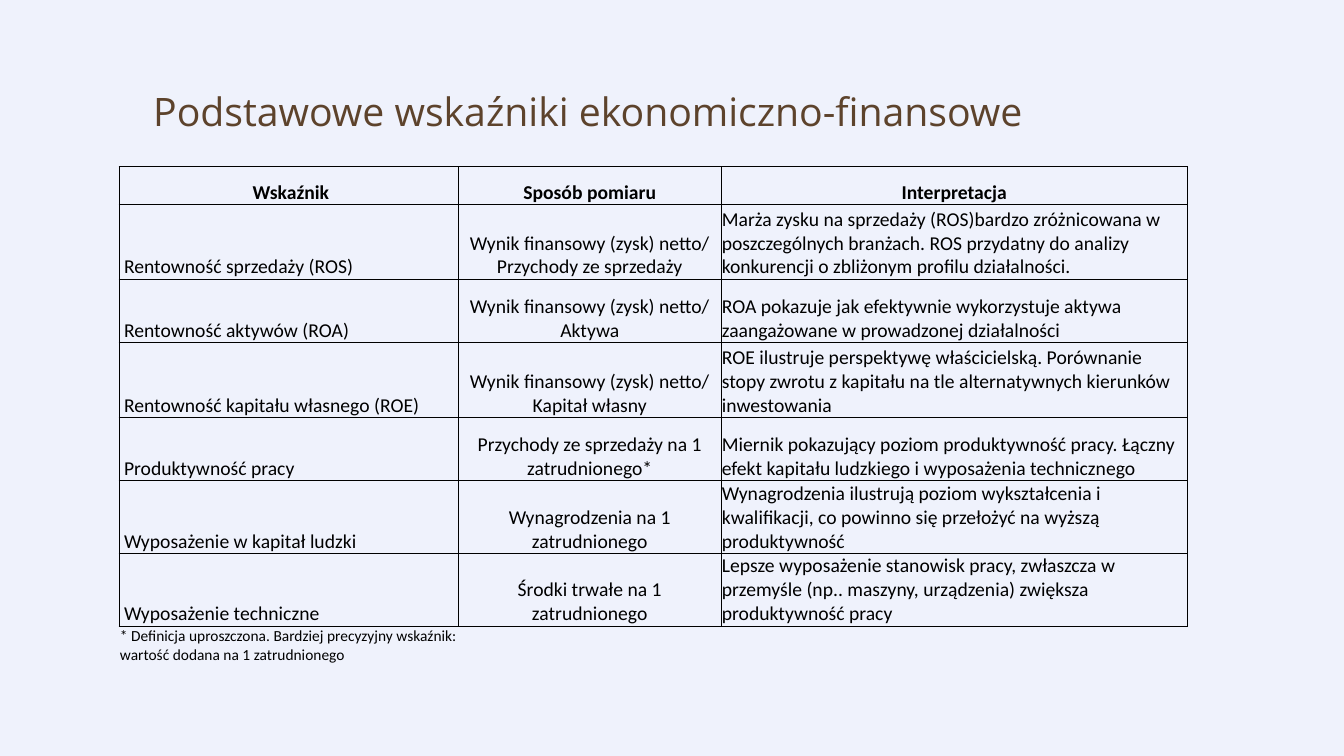
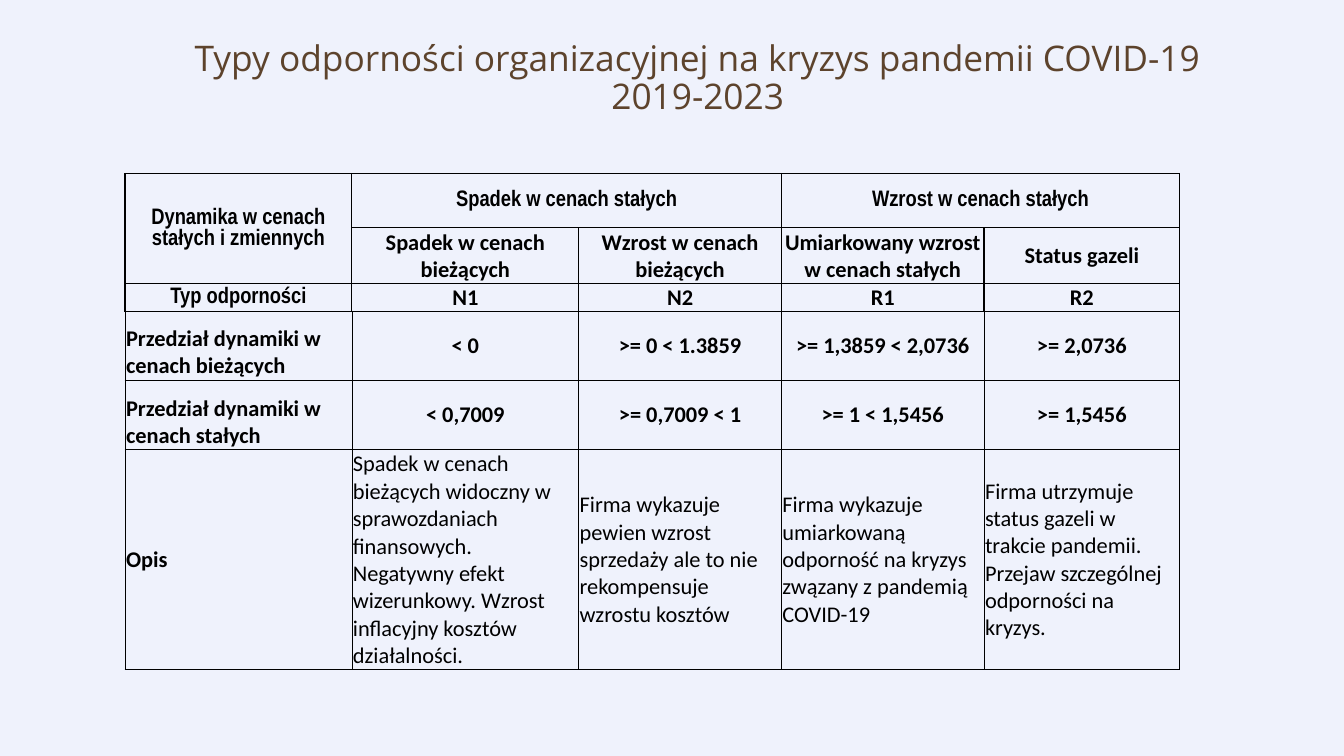
from lxml import etree
from pptx import Presentation
from pptx.dml.color import RGBColor
from pptx.enum.text import MSO_ANCHOR, PP_ALIGN
from pptx.oxml.ns import qn
from pptx.util import Inches, Pt

LEFT, CENTER = PP_ALIGN.LEFT, PP_ALIGN.CENTER
MIDDLE, BOTTOM = MSO_ANCHOR.MIDDLE, MSO_ANCHOR.BOTTOM

COLORS = {"background": "EFF2FC", "title": "5D432C", "text": "000000", "border": "000000"}
TITLE_FONT, BODY_FONT, HEADER_FONT = "Open Sans", "Calibri", "Arial Narrow"
THIN, MEDIUM = 0.5, 1
CELL_INSET, FIRST_COLUMN_INSET = 0.01, 0.05
SIDES = ("L", "R", "T", "B")

INDICATORS = [
    ("Wskaźnik", "Sposób pomiaru", "Interpretacja"),
    ("Rentowność sprzedaży (ROS)",
     "Wynik finansowy (zysk) netto/ Przychody ze sprzedaży",
     "Marża zysku na sprzedaży (ROS)bardzo zróżnicowana w poszczególnych branżach. "
     "ROS przydatny do analizy konkurencji o zbliżonym profilu działalności."),
    ("Rentowność aktywów (ROA)",
     "Wynik finansowy (zysk) netto/ Aktywa",
     "ROA pokazuje jak efektywnie wykorzystuje aktywa zaangażowane w prowadzonej działalności"),
    ("Rentowność kapitału własnego (ROE)",
     "Wynik finansowy (zysk) netto/ Kapitał własny",
     "ROE ilustruje perspektywę właścicielską. Porównanie  stopy zwrotu z kapitału "
     "na tle alternatywnych kierunków inwestowania"),
    ("Produktywność pracy",
     "Przychody ze sprzedaży na 1 zatrudnionego*",
     "Miernik pokazujący poziom produktywność pracy. Łączny efekt kapitału ludzkiego "
     "i wyposażenia technicznego"),
    ("Wyposażenie w kapitał ludzki",
     "Wynagrodzenia na 1 zatrudnionego",
     "Wynagrodzenia ilustrują poziom wykształcenia i kwalifikacji, co powinno się "
     "przełożyć na wyższą produktywność"),
    ("Wyposażenie techniczne",
     "Środki trwałe na 1 zatrudnionego",
     "Lepsze wyposażenie stanowisk pracy, zwłaszcza w przemyśle (np.. maszyny, "
     "urządzenia) zwiększa produktywność pracy"),
    ("* Definicja uproszczona. Bardziej precyzyjny wskaźnik: wartość dodana na 1 zatrudnionego",
     "", ""),
]

RESILIENCE = [
    ("Dynamika w cenach stałych i zmiennych", "Spadek w cenach stałych", "",
     "Wzrost w cenach stałych", ""),
    ("", "Spadek w cenach bieżących", "Wzrost w cenach bieżących",
     "Umiarkowany wzrost w cenach stałych", "Status gazeli"),
    ("Typ odporności", "N1", "N2", "R1", "R2"),
    ("Przedział dynamiki w cenach bieżących", "< 0", ">= 0 < 1.3859",
     ">= 1,3859 < 2,0736", ">= 2,0736"),
    ("Przedział dynamiki w cenach stałych", "< 0,7009", ">= 0,7009 < 1",
     ">= 1 < 1,5456", ">= 1,5456"),
    ("Opis",
     "Spadek w cenach bieżących widoczny w sprawozdaniach finansowych. "
     "Negatywny efekt wizerunkowy. Wzrost inflacyjny kosztów działalności.",
     "Firma wykazuje pewien wzrost sprzedaży ale to nie rekompensuje wzrostu kosztów",
     "Firma wykazuje umiarkowaną odporność na kryzys zwązany z pandemią COVID-19",
     "Firma utrzymuje status gazeli w trakcie pandemii. Przejaw szczególnej "
     "odporności na kryzys."),
]


def color(name):
    return RGBColor.from_string(COLORS[name])


def set_font(para, name, size, color_name, bold=False):
    font = para.font
    font.name, font.size, font.bold = name, Pt(size), bold
    font.color.rgb = color(color_name)


def add_page(deck):
    page = deck.slides.add_slide(deck.slide_layouts[6])
    page.background.fill.solid()
    page.background.fill.fore_color.rgb = color("background")
    return page


def add_title(page, box, text, size, align=LEFT):
    frame = page.shapes.add_textbox(*map(Inches, box)).text_frame
    frame.word_wrap = True
    frame.vertical_anchor = MIDDLE
    frame.margin_left = Inches(0.6)
    para = frame.paragraphs[0]
    para.text = text
    para.alignment = align
    para.line_spacing = 0.9
    set_font(para, TITLE_FONT, size, "title")


def set_borders(cell, widths):
    """Draw the four sides of a cell; a width of 0 hides that side."""
    properties = cell._tc.get_or_add_tcPr()
    for side, width in zip(SIDES, widths):
        line = etree.SubElement(properties, qn(f"a:ln{side}"), w=str(Pt(width)))
        if width:
            fill = etree.SubElement(line, qn("a:solidFill"))
            etree.SubElement(fill, qn("a:srgbClr"), val=COLORS["border"])
        else:
            etree.SubElement(line, qn("a:noFill"))


def add_grid(page, origin, columns, rows, content, style):
    """Place a table at origin; style(row, column) gives the look of each cell."""
    size = (sum(columns), sum(rows))
    frame = page.shapes.add_table(len(rows), len(columns), *map(Inches, origin + size))
    table = frame.table
    table.first_row = table.horz_banding = False
    for column, width in zip(table.columns, columns):
        column.width = Inches(width)
    for row, height in zip(table.rows, rows):
        row.height = Inches(height)
    for r, texts in enumerate(content):
        for c, text in enumerate(texts):
            cell, look = table.cell(r, c), style(r, c)
            cell.margin_left = Inches(look.get("inset", CELL_INSET))
            cell.margin_right = cell.margin_top = Inches(CELL_INSET)
            cell.margin_bottom = 0
            cell.vertical_anchor = look["anchor"]
            set_borders(cell, look["borders"])
            cell.fill.background()
            para = cell.text_frame.paragraphs[0]
            para.text = text
            para.alignment = look["align"]
            set_font(para, look.get("font", BODY_FONT), look["size"], "text", look["bold"])
    return table


def indicator_style(row, column):
    header, footnote = row == 0, row == len(INDICATORS) - 1
    return {
        "anchor": BOTTOM,
        "align": CENTER if header or column == 1 else LEFT,
        "size": 11 if footnote else 14,
        "bold": header,
        "inset": FIRST_COLUMN_INSET if column == 0 and not footnote else CELL_INSET,
        "borders": (0, 0, THIN, 0) if footnote else (THIN,) * 4,
    }


def resilience_style(row, column):
    header, description = row < 3, row == len(RESILIENCE) - 1
    label = column == 0
    side = MEDIUM if header else THIN
    return {
        "anchor": BOTTOM if label and row in (3, 4) else MIDDLE,
        "align": CENTER if header or not (label or description) else LEFT,
        "size": 16,
        "bold": label or not description,
        "font": HEADER_FONT if row == 0 or (header and label) else BODY_FONT,
        "borders": (side, side, side, MEDIUM if row < 2 else THIN),
    }


def indicators_page(deck):
    page = add_page(deck)
    add_title(page, (0.92, 0.4, 11.5, 1.45), "Podstawowe wskaźniki ekonomiczno-finansowe", 28)
    add_grid(page, (1.18, 1.65), (3.37, 2.6, 4.63),
             (0.38, 0.74, 0.63, 0.74, 0.63, 0.72, 0.72, 0.39), INDICATORS, indicator_style)


def resilience_page(deck):
    page = add_page(deck)
    add_title(page, (0.92, 0.42, 11.5, 0.73),
              "Typy odporności organizacyjnej na kryzys pandemii COVID-19 2019-2023", 25.2, CENTER)
    table = add_grid(page, (1.24, 1.72), (2.25, 2.25, 2.01, 2.01, 1.94),
                     (0.54, 0.55, 0.28, 0.68, 0.69, 2.18), RESILIENCE, resilience_style)
    # Header groups
    for first, last in (((0, 0), (1, 0)), ((0, 1), (0, 2)), ((0, 3), (0, 4))):
        table.cell(*first).merge(table.cell(*last))


def main():
    deck = Presentation()
    deck.slide_width, deck.slide_height = Inches(13.33), Inches(7.5)
    indicators_page(deck)
    resilience_page(deck)
    deck.save("out.pptx")


if __name__ == "__main__":
    main()
